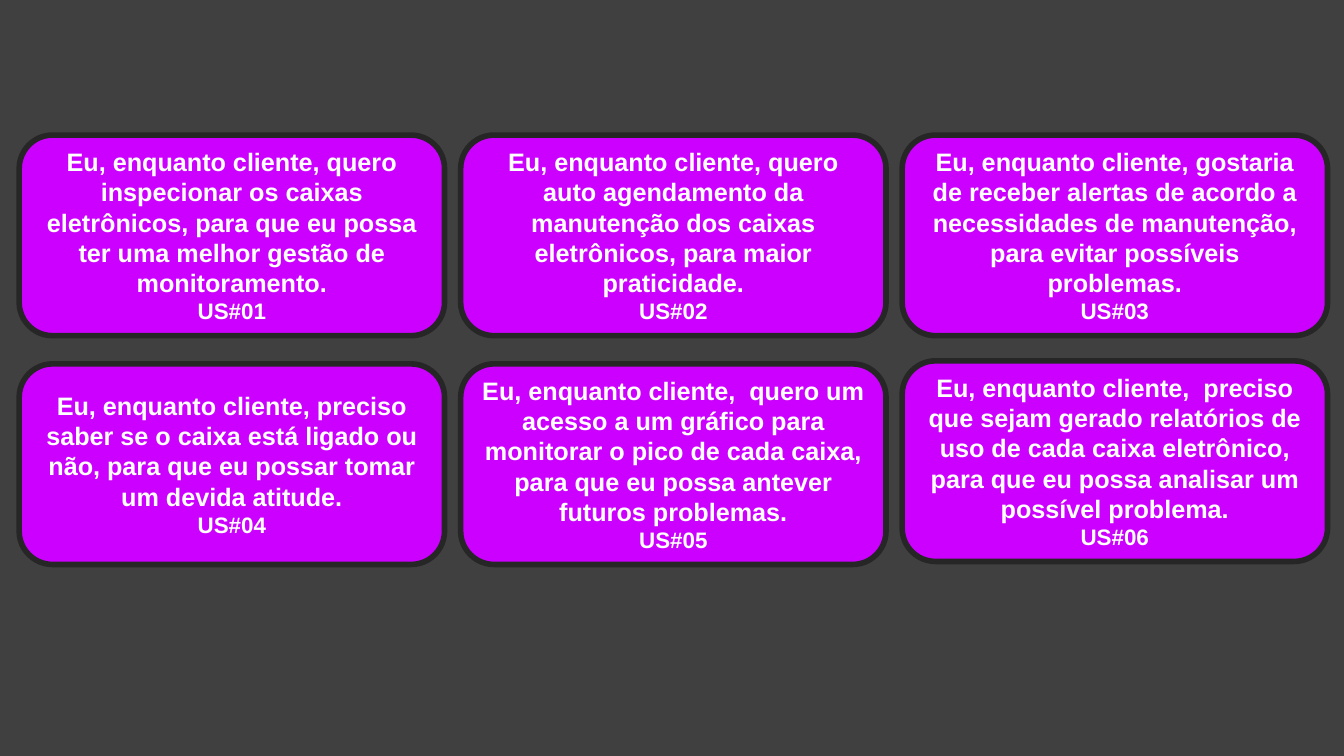
import pptx
import pptx.dml.color
import pptx.enum.shapes
import pptx.enum.text
import pptx.util

Pt = pptx.util.Pt
COLORS = {"background": "404040", "card": "CC00FF", "border": "262626", "text": "FFFFFF"}
STORIES = [
    "Eu, enquanto cliente, quero inspecionar os caixas eletrônicos, para que eu possa "
    "ter uma melhor gestão de monitoramento.",
    "Eu, enquanto cliente, quero auto agendamento da manutenção dos caixas eletrônicos, "
    "para maior praticidade.",
    "Eu, enquanto cliente, gostaria de receber alertas de acordo a necessidades de "
    "manutenção, para evitar possíveis problemas.",
    "Eu, enquanto cliente, preciso saber se o caixa está ligado ou não, para que eu "
    "possar tomar um devida atitude.",
    "Eu, enquanto cliente,  quero um acesso a um gráfico para monitorar o pico de cada "
    "caixa, para que eu possa antever futuros problemas.",
    "Eu, enquanto cliente,  preciso que sejam gerado relatórios de uso de cada caixa "
    "eletrônico, para que eu possa analisar um possível problema.",
]
COLUMNS = 3
CARD_WIDTH, CARD_HEIGHT = 303.84, 143.28
COLUMN_GAP, ROW_GAP = 11.52, 20.16
LAST_CARD_LIFT = 2.16  # the sixth card sits slightly above its row


def color(name):
    """Return the named colour of the palette."""
    return pptx.dml.color.RGBColor.from_string(COLORS[name])


def write(paragraph, text, size=18, bold=True, font="Arial", fill="text"):
    """Write centred, formatted text into a paragraph."""
    paragraph.alignment = pptx.enum.text.PP_ALIGN.CENTER
    run = paragraph.add_run()
    run.text = text
    run.font.size = Pt(size)
    run.font.bold = bold
    run.font.name = font
    run.font.color.rgb = color(fill)


def add_story_card(slide, box, story, code):
    """Draw one user story with its code in the box (left, top, width, height)."""
    card = slide.shapes.add_shape(
        pptx.enum.shapes.MSO_SHAPE.ROUNDED_RECTANGLE, *map(Pt, box))
    card.shadow.inherit = False
    card.fill.solid()
    card.fill.fore_color.rgb = color("card")
    card.line.color.rgb = color("border")
    card.line.width = Pt(4)
    frame = card.text_frame
    frame.word_wrap = True
    frame.vertical_anchor = pptx.enum.text.MSO_ANCHOR.MIDDLE
    write(frame.paragraphs[0], story)
    write(frame.add_paragraph(), code, size=16)


def add_story_grid(slide, left, top):
    """Lay out all user stories in rows from the given corner."""
    for index, story in enumerate(STORIES):
        row, column = divmod(index, COLUMNS)
        lift = LAST_CARD_LIFT if index == len(STORIES) - 1 else 0
        box = (left + column * (CARD_WIDTH + COLUMN_GAP),
               top + row * (CARD_HEIGHT + ROW_GAP) - lift,
               CARD_WIDTH, CARD_HEIGHT)
        add_story_card(slide, box, story, f"US#{index + 1:02d}")


def build_deck():
    """Build and save the user story slide."""
    deck = pptx.Presentation()
    deck.slide_width, deck.slide_height = Pt(960), Pt(540)
    slide = deck.slides.add_slide(deck.slide_layouts[6])
    slide.background.fill.solid()
    slide.background.fill.fore_color.rgb = color("background")
    add_story_grid(slide, left=13.68, top=96.48)
    deck.save("out.pptx")


build_deck()
